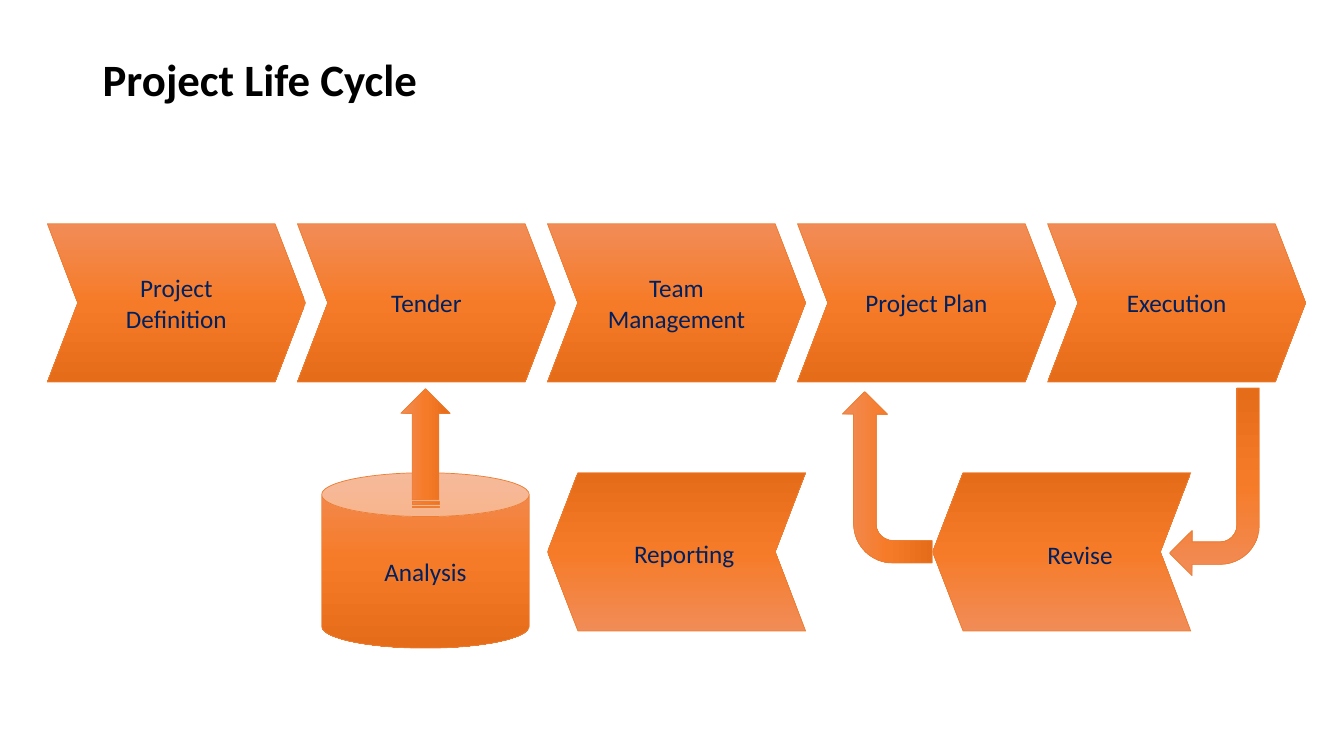
import copy

import pptx
import pptx.dml.color
import pptx.enum.shapes
import pptx.enum.text
import pptx.util

RGBColor = pptx.dml.color.RGBColor
SHAPES = pptx.enum.shapes.MSO_SHAPE
ANCHOR = pptx.enum.text.MSO_ANCHOR
ALIGN = pptx.enum.text.PP_ALIGN
Inches = pptx.util.Inches
Pt = pptx.util.Pt

TITLE = "Project Life Cycle"
STAGES = ["Project Definition", "Tender", "Team Management", "Project Plan", "Execution"]
# label, chevron left, label box
FEEDBACK = [
    ("Revise", 9.25, (10.29, 5.3, 0.94, 0.4)),
    ("Reporting", 5.43, (6.19, 5.29, 1.3, 0.4)),
]
STORE = "Analysis"
# shape, box before rotation, rotation, adjustments
ARROWS = [
    (SHAPES.BENT_ARROW, (11.6, 3.85, 0.89, 1.86), 180, ()),
    (SHAPES.BENT_ARROW, (7.95, 4.29, 1.7, 0.89), 270, ()),
    (SHAPES.STRIPED_RIGHT_ARROW, (3.63, 4.2, 1.18, 0.49), 270, (0.541, 0.5)),
]

BLACK = RGBColor(0x00, 0x00, 0x00)
NAVY = RGBColor(0x00, 0x20, 0x60)
OUTLINE = RGBColor(0xED, 0x7D, 0x31)
GRADIENT = [
    (0, RGBColor(0xF1, 0x8C, 0x57)),
    (0.5, RGBColor(0xF6, 0x7B, 0x28)),
    (1, RGBColor(0xE5, 0x6C, 0x19)),
]
FONT = "Calibri"

STAGE_LEFT, STAGE_TOP, STAGE_PITCH = 0.47, 2.22, 2.48
CHEVRON_SIZE = (2.56, 1.57)
CHEVRON_POINT = (0.192,)
FEEDBACK_TOP = 4.69


def write(shape, text, size=18, color=NAVY, bold=False, align=ALIGN.LEFT):
    paragraph = shape.text_frame.paragraphs[0]
    paragraph.alignment = align
    run = paragraph.add_run()
    run.text = text
    run.font.name = FONT
    run.font.size = Pt(size)
    run.font.bold = bold
    run.font.color.rgb = color
    return paragraph


def add_orange_shape(slide, kind, box, rotation=0, adjustments=(), text=None):
    shape = slide.shapes.add_shape(kind, *map(Inches, box))
    shape.rotation = rotation
    shape.shadow.inherit = False
    for index, value in enumerate(adjustments):
        shape.adjustments[index] = value

    shape.fill.gradient()
    shape.fill.gradient_angle = 270
    first_stop = shape.element.xpath(".//a:gs")[0]
    first_stop.addnext(copy.deepcopy(first_stop))
    for stop, (position, color) in zip(shape.fill.gradient_stops, GRADIENT):
        stop.position = position
        stop.color.rgb = color
    shape.line.color.rgb = OUTLINE
    shape.line.width = Pt(0.5)

    if text:
        shape.text_frame.vertical_anchor = ANCHOR.MIDDLE
        write(shape, text, align=ALIGN.CENTER)


def add_title(slide):
    title = slide.shapes.add_textbox(*map(Inches, (0.92, 0.4, 10.47, 0.83)))
    title.text_frame.word_wrap = True
    title.text_frame.vertical_anchor = ANCHOR.MIDDLE
    write(title, TITLE, size=32, color=BLACK, bold=True).line_spacing = 0.9


def add_label(slide, text, box):
    label = slide.shapes.add_textbox(*map(Inches, box))
    label.text_frame.word_wrap = True
    write(label, text)


def main():
    presentation = pptx.Presentation()
    presentation.slide_width = Inches(13.33)
    presentation.slide_height = Inches(7.5)
    slide = presentation.slides.add_slide(presentation.slide_layouts[6])

    add_title(slide)
    for column, stage in enumerate(STAGES):
        left = STAGE_LEFT + column * STAGE_PITCH
        add_orange_shape(slide, SHAPES.CHEVRON, (left, STAGE_TOP, *CHEVRON_SIZE),
                         adjustments=CHEVRON_POINT, text=stage)
    for text, left, label_box in FEEDBACK:
        add_orange_shape(slide, SHAPES.CHEVRON, (left, FEEDBACK_TOP, *CHEVRON_SIZE),
                         rotation=180, adjustments=CHEVRON_POINT)
        add_label(slide, text, label_box)
    add_orange_shape(slide, SHAPES.CAN, (3.19, FEEDBACK_TOP, 2.06, 1.74), text=STORE)
    for kind, box, rotation, adjustments in ARROWS:
        add_orange_shape(slide, kind, box, rotation, adjustments)

    presentation.save("out.pptx")


if __name__ == "__main__":
    main()
